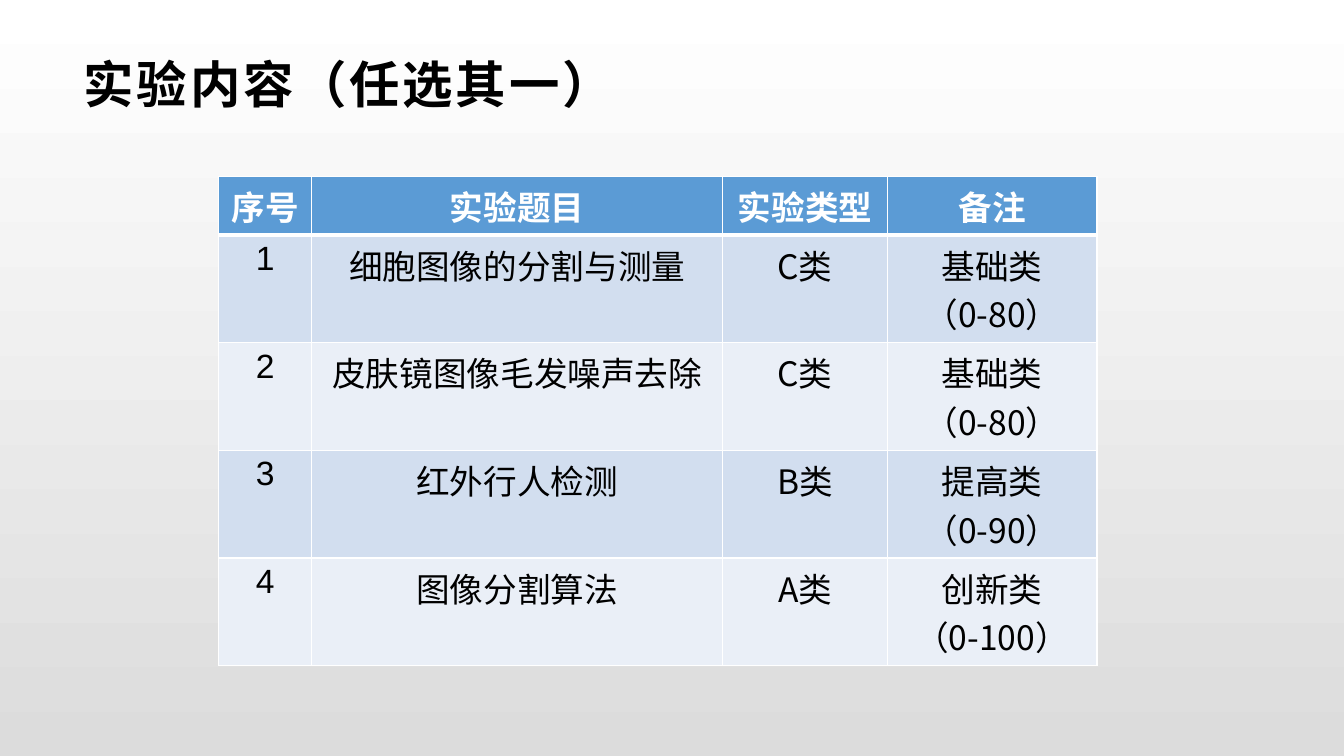
"""Build the slide that lists the experiments to choose from."""
from dataclasses import dataclass

import lxml.etree
import pptx
import pptx.dml.color
import pptx.enum.text
import pptx.oxml.ns
import pptx.slide
import pptx.table
import pptx.text.text
import pptx.util

Inches = pptx.util.Inches
RGBColor = pptx.dml.color.RGBColor

WHITE = RGBColor(0xFF, 0xFF, 0xFF)
BLACK = RGBColor(0, 0, 0)
BACKGROUND_GREY = RGBColor(0xDC, 0xDC, 0xDC)
HEADER_BLUE = RGBColor(0x5B, 0x9B, 0xD5)
BAND_COLORS = (RGBColor(0xD2, 0xDE, 0xEF), RGBColor(0xEA, 0xEF, 0xF7))

LATIN_FONT = "Arial"
CHINESE_FONT = "Noto Sans CJK SC"

HEADINGS = ("序号", "实验题目", "实验类型", "备注")
COLUMN_WIDTHS = (0.92, 4.08, 1.63, 2.08)
ROW_HEIGHTS = (0.5, 0.92, 0.92, 0.9, 0.9)


@dataclass(frozen=True)
class Experiment:
    topic: str
    category: str
    level: str
    score_range: str


EXPERIMENTS = (
    Experiment("细胞图像的分割与测量", "C类", "基础类", "（0-80）"),
    Experiment("皮肤镜图像毛发噪声去除", "C类", "基础类", "（0-80）"),
    Experiment("红外行人检测", "B类", "提高类", "（0-90）"),
    Experiment("图像分割算法", "A类", "创新类", "（0-100）"),
)


def format_paragraph(
    paragraph: pptx.text.text._Paragraph, size: float, color: RGBColor, bold: bool, name: str
) -> None:
    font = paragraph.font
    font.size = pptx.util.Pt(size)
    font.bold = bold
    font.color.rgb = color
    font.name = name
    east_asian = lxml.etree.SubElement(font._element, pptx.oxml.ns.qn("a:ea"))
    east_asian.set("typeface", CHINESE_FONT)


def add_borders(cell: pptx.table._Cell, top: float, bottom: float) -> None:
    properties = cell._tc.get_or_add_tcPr()
    for side, width in (("L", 1), ("R", 1), ("T", top), ("B", bottom)):
        line = lxml.etree.SubElement(properties, pptx.oxml.ns.qn(f"a:ln{side}"))
        line.set("w", str(pptx.util.Pt(width)))
        fill = lxml.etree.SubElement(line, pptx.oxml.ns.qn("a:solidFill"))
        color = lxml.etree.SubElement(fill, pptx.oxml.ns.qn("a:srgbClr"))
        color.set("val", str(WHITE))


def fill_cell(cell: pptx.table._Cell, text: str, row: int, name: str) -> None:
    is_header = row == 0
    add_borders(cell, top=3 if row == 1 else 1, bottom=3 if is_header else 1)
    cell.fill.solid()
    cell.fill.fore_color.rgb = HEADER_BLUE if is_header else BAND_COLORS[(row - 1) % 2]
    cell.text = text
    for paragraph in cell.text_frame.paragraphs:
        paragraph.alignment = pptx.enum.text.PP_ALIGN.CENTER
        format_paragraph(paragraph, 24, WHITE if is_header else BLACK, is_header, name)


def paint_background(slide: pptx.slide.Slide) -> None:
    fill = slide.background.fill
    fill.gradient()
    fill.gradient_angle = 270
    for stop, position, color in zip(fill.gradient_stops, (0, 1), (WHITE, BACKGROUND_GREY)):
        stop.position = position
        stop.color.rgb = color


def add_title(slide: pptx.slide.Slide) -> None:
    title = slide.shapes.title
    title.left, title.top = Inches(0.73), Inches(0.47)
    title.width, title.height = Inches(11.87), Inches(0.71)
    frame = title.text_frame
    frame.text = "实验内容（任选其一）"
    frame.word_wrap = True
    frame.auto_size = pptx.enum.text.MSO_AUTO_SIZE.NONE
    frame.vertical_anchor = pptx.enum.text.MSO_ANCHOR.MIDDLE
    paragraph = frame.paragraphs[0]
    paragraph.alignment = pptx.enum.text.PP_ALIGN.LEFT
    format_paragraph(paragraph, 36, BLACK, True, CHINESE_FONT)
    paragraph.font._element.set("spc", "200")


def add_experiment_table(slide: pptx.slide.Slide) -> None:
    rows = [HEADINGS] + [
        (str(number), item.topic, item.category, f"{item.level}\n{item.score_range}")
        for number, item in enumerate(EXPERIMENTS, start=1)
    ]
    table = slide.shapes.add_table(
        len(rows), len(HEADINGS), Inches(2.17), Inches(1.75),
        Inches(sum(COLUMN_WIDTHS)), Inches(sum(ROW_HEIGHTS)),
    ).table
    for column, width in zip(table.columns, COLUMN_WIDTHS):
        column.width = Inches(width)
    for row, (texts, height) in enumerate(zip(rows, ROW_HEIGHTS)):
        table.rows[row].height = Inches(height)
        for column, text in enumerate(texts):
            name = LATIN_FONT if row == 0 or column == 0 else CHINESE_FONT
            fill_cell(table.cell(row, column), text, row, name)


def main() -> None:
    presentation = pptx.Presentation()
    presentation.slide_width = Inches(13.33)
    presentation.slide_height = Inches(7.5)
    slide = presentation.slides.add_slide(presentation.slide_layouts.get_by_name("Title Only"))
    paint_background(slide)
    add_title(slide)
    add_experiment_table(slide)
    presentation.save("out.pptx")


if __name__ == "__main__":
    main()
